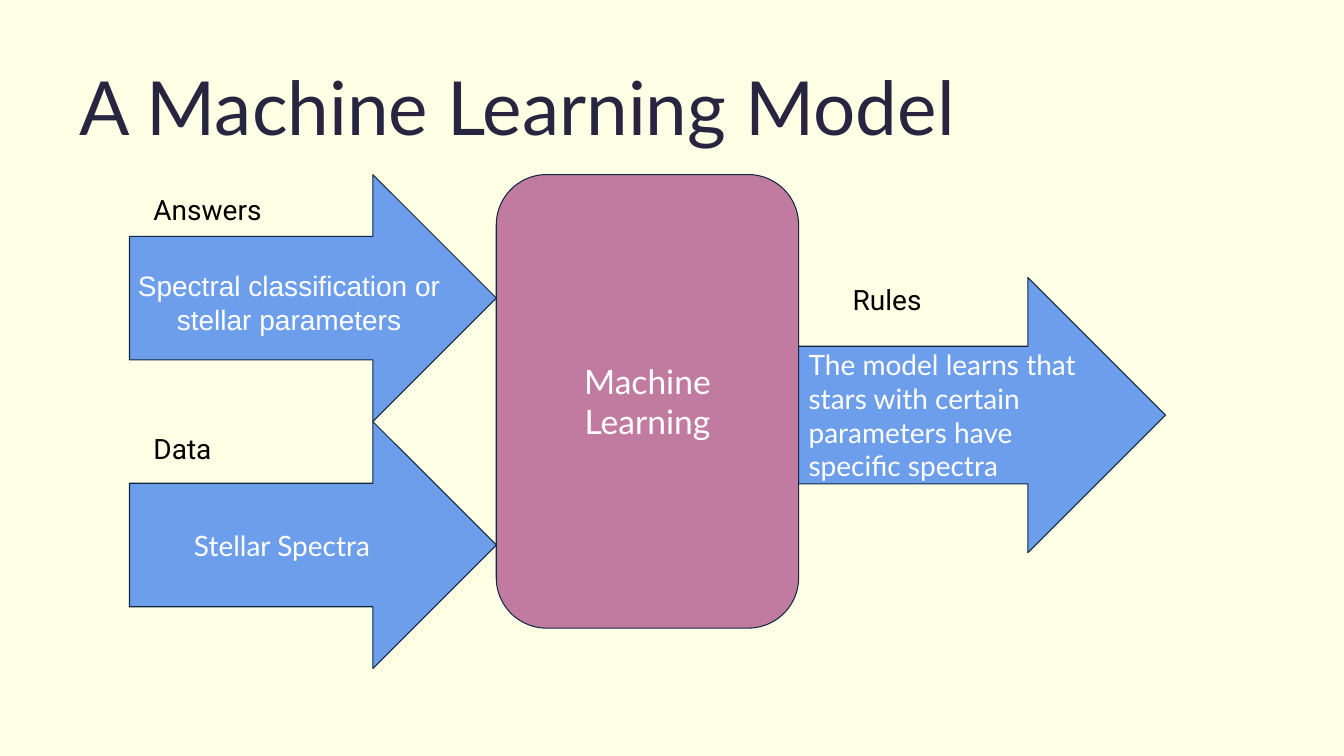
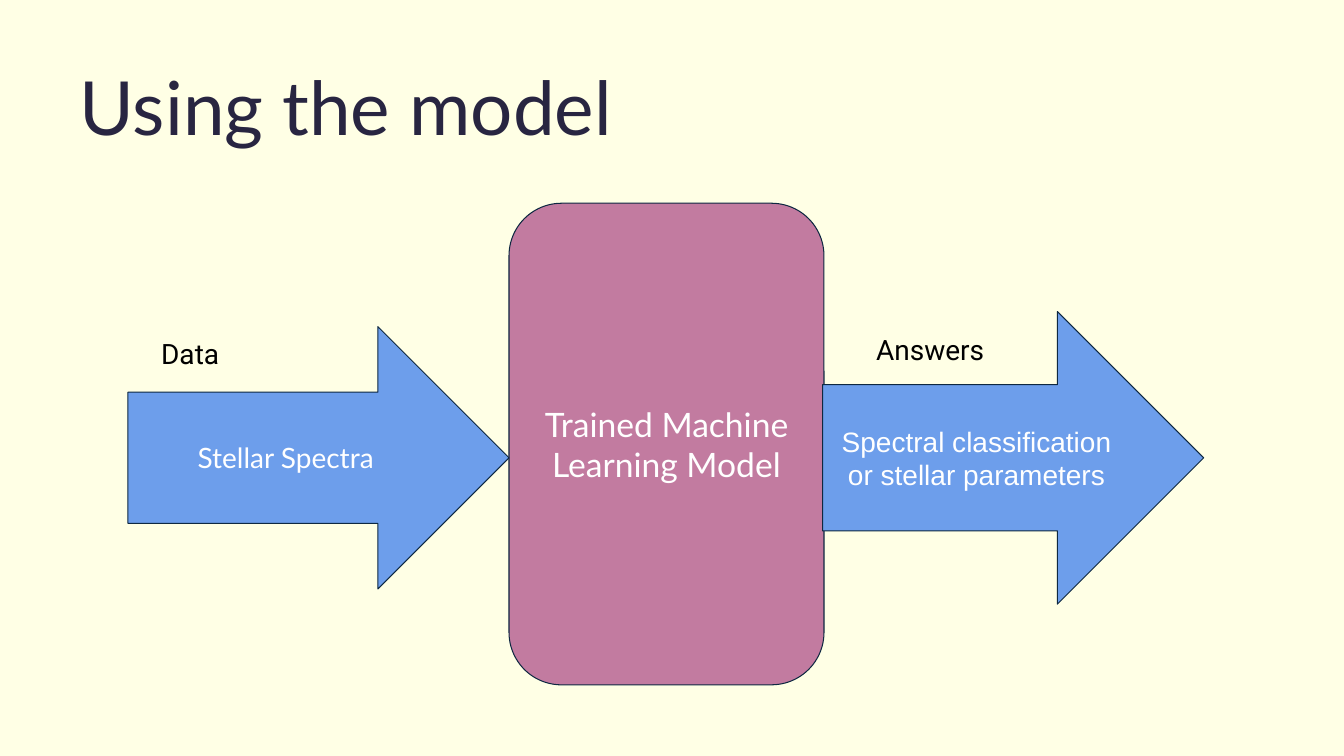
from dataclasses import dataclass
from pptx import Presentation
from pptx.dml.color import RGBColor as Rgb
from pptx.enum.shapes import MSO_SHAPE as Form
from pptx.enum.text import MSO_ANCHOR as Anchor, MSO_AUTO_SIZE as Fit, PP_ALIGN as Align
from pptx.util import Pt


@dataclass(frozen=True)
class Theme:
    paper: str = "FFFFE5"
    ink: str = "282541"
    edge: str = "0E2841"
    core: str = "C27BA0"
    arrow: str = "6D9EEB"
    light: str = "FFFFFF"
    dark: str = "000000"
    main: str = "Lato"
    plain: str = "Arial"
    tag: str = "Roboto"
    head: float = 53.3
    large: float = 24
    base: float = 20


class Deck:
    def __init__(self, theme):
        self.theme = theme
        self.prs = Presentation()
        self.prs.slide_width, self.prs.slide_height = Pt(960), Pt(540)
        back = self.prs.slide_master.background.fill
        back.solid()
        back.fore_color.rgb = Rgb.from_string(theme.paper)
        self.slide = None

    def label_text(self, shape, text, size, font, color, align=Align.LEFT,
                   anchor=Anchor.TOP, pad=(7.2, 7.2)):
        frame = shape.text_frame
        frame.word_wrap = True
        frame.auto_size = Fit.NONE
        frame.vertical_anchor = anchor
        frame.margin_left = frame.margin_right = Pt(pad[0])
        frame.margin_top = frame.margin_bottom = Pt(pad[1])
        para = frame.paragraphs[0]
        para.alignment = align
        run = para.add_run()
        run.text = text
        run.font.size = Pt(size)
        run.font.name = font
        run.font.color.rgb = Rgb.from_string(color)
        return para

    def page(self, title):
        t = self.theme
        self.slide = self.prs.slides.add_slide(self.prs.slide_layouts[5])
        shape = self.slide.shapes.title
        shape.left, shape.top, shape.width, shape.height = map(Pt, (57, 51, 838, 82))
        para = self.label_text(shape, title, t.head, t.main, t.ink, pad=(0, 0))
        para.line_spacing = 0.9

    def block(self, form, box, fill):
        shape = self.slide.shapes.add_shape(form, *map(Pt, box))
        shape.shadow.inherit = False
        shape.fill.solid()
        shape.fill.fore_color.rgb = Rgb.from_string(fill)
        shape.line.color.rgb = Rgb.from_string(self.theme.edge)
        shape.line.width = Pt(0.75)
        return shape

    def core(self, box, text):
        t = self.theme
        shape = self.block(Form.ROUNDED_RECTANGLE, box, t.core)
        self.label_text(shape, text, t.large, t.main, t.light, Align.CENTER, Anchor.MIDDLE)

    def arrow(self, box, text="", font=None, align=Align.CENTER):
        t = self.theme
        shape = self.block(Form.RIGHT_ARROW, box, t.arrow)
        if text:
            self.label_text(shape, text, t.base, font or t.main, t.light, align, Anchor.MIDDLE)

    def label(self, left, top, text):
        t = self.theme
        shape = self.slide.shapes.add_textbox(*map(Pt, (left, top, 104, 38)))
        self.label_text(shape, text, t.base, t.tag, t.dark)

    def note(self, box, text):
        t = self.theme
        shape = self.slide.shapes.add_textbox(*map(Pt, box))
        self.label_text(shape, text, t.base, t.plain, t.light, Align.CENTER, pad=(7.2, 3.6))


def train(deck):
    left, top, wide, high = 354.5, 124.7, 216, 324
    span, step = 262, 176.4
    start, end = left - span, left + wide
    deck.page("A Machine Learning Model")
    deck.core((left, top, wide, high), "Machine Learning")
    deck.arrow((start, top, span, step))
    deck.arrow((start, top + step, span, step), "Stellar Spectra")
    deck.arrow((end, 198.2, span, 196.6),
               "The model learns that stars with certain parameters have specific spectra",
               align=Align.LEFT)
    deck.label(102.5, 130.5, "Answers")
    deck.label(102.5, top + step, "Data")
    deck.label(602, 194.4, "Rules")
    deck.note((75.5, 188.6, span, 55.5), "Spectral classification or stellar parameters")


def use(deck):
    left, top, wide, high = 363.6, 145.2, 225, 344
    span, mid = 272.2, 327
    deck.page("Using the model")
    deck.core((left, top, wide, high), "Trained Machine Learning Model")
    deck.arrow((left - span, mid - 93.7, span, 187.4), "Stellar Spectra")
    deck.arrow((left + wide - 1, mid - 104.5, span, 209),
               "Spectral classification or stellar parameters", deck.theme.plain)
    deck.label(618.7, 230.4, "Answers")
    deck.label(108, 233.3, "Data")


def main():
    deck = Deck(Theme())
    train(deck)
    use(deck)
    deck.prs.save("out.pptx")


if __name__ == "__main__":
    main()
